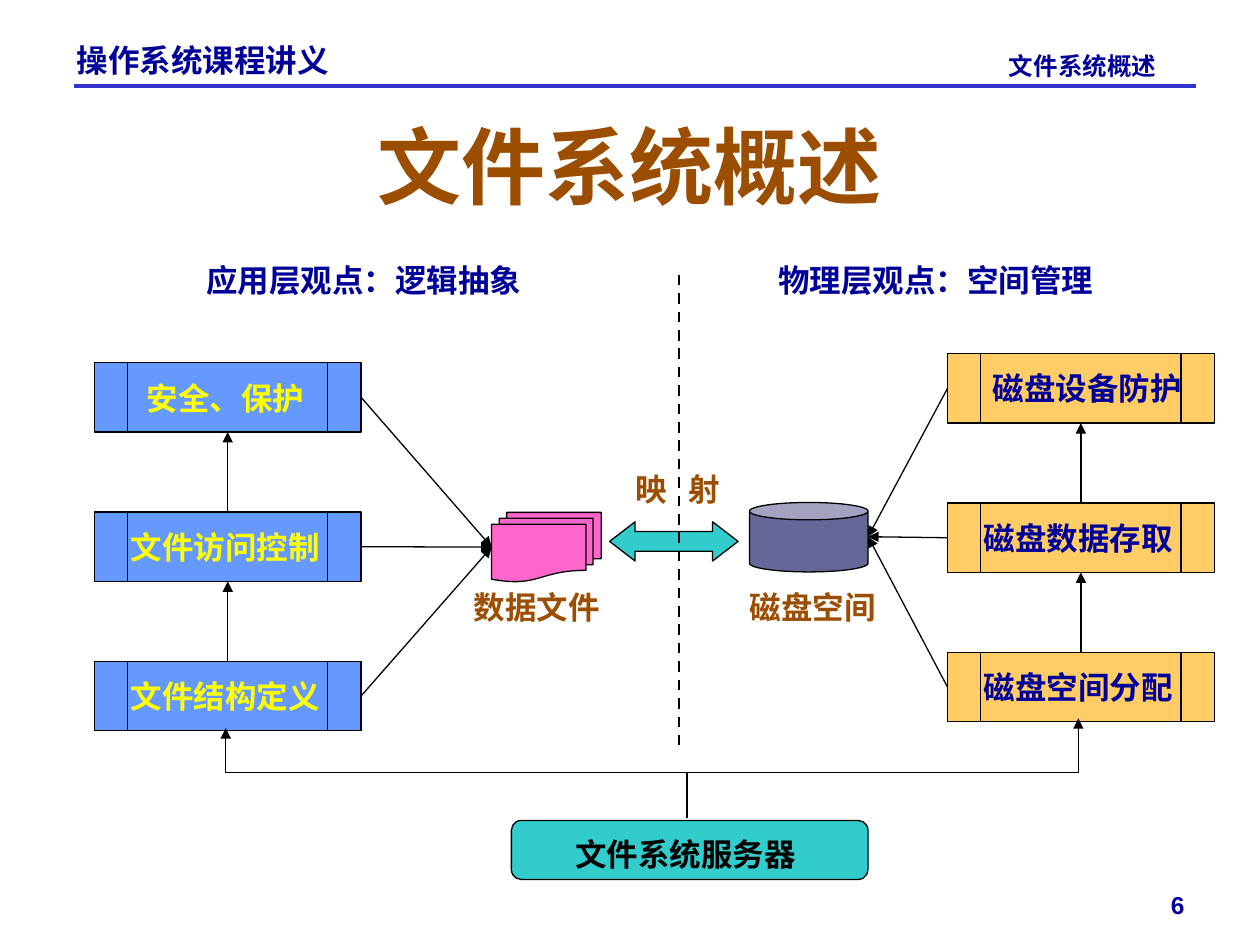
import pptx
import pptx.dml.color
import pptx.enum.dml
import pptx.enum.shapes
import pptx.enum.text
import pptx.oxml
import pptx.oxml.ns
import pptx.util
from lxml import etree

Cm = pptx.util.Cm
Pt = pptx.util.Pt
Shape = pptx.enum.shapes.MSO_SHAPE
Link = pptx.enum.shapes.MSO_CONNECTOR
Align = pptx.enum.text.PP_ALIGN
colour = pptx.dml.color.RGBColor.from_string
qn = pptx.oxml.ns.qn

NAVY, BROWN, YELLOW, BLACK = "000099", "9C4E00", "FFFF00", "000000"
BLUE, ORANGE, TEAL = "6699FF", "FFCC66", "33CCCC"

deck = pptx.Presentation()
deck.slide_width, deck.slide_height = Cm(25.4), Cm(19.05)
slide = deck.slides.add_slide(deck.slide_layouts[5])


def add_node(geometry, left, top, width, height, fill):
    node = slide.shapes.add_shape(geometry, Cm(left), Cm(top), Cm(width), Cm(height))
    node.shadow.inherit = False
    node.fill.solid()
    node.fill.fore_color.rgb = colour(fill)
    node.line.color.rgb = colour(BLACK)
    node.line.width = Pt(0.75)
    return node


def add_label(text, left, top, ink, size=18, font="Cabin"):
    """Add bold text in a box just wide enough for its full-width characters."""
    width = len(text) * size * 0.0353 + 0.8
    label = slide.shapes.add_textbox(Cm(left), Cm(top), Cm(width), Cm(1.02))
    label.text_frame.word_wrap = True
    label.text_frame.text = text
    run = label.text_frame.paragraphs[0].runs[0]
    run.font.name, run.font.size, run.font.bold = font, Pt(size), True
    run.font.color.rgb = colour(ink)
    return label


# Title
title = slide.shapes.title
title.left, title.top, title.width, title.height = Cm(0.89), Cm(2.13), Cm(23.6), Cm(2.39)
title.text_frame.text = "文件系统概述"
title.text_frame.auto_size = pptx.enum.text.MSO_AUTO_SIZE.NONE
title.text_frame.vertical_anchor = pptx.enum.text.MSO_ANCHOR.MIDDLE
heading = title.text_frame.paragraphs[0]
heading.alignment = Align.CENTER
heading_font = heading.runs[0].font
heading_font.name, heading_font.size, heading_font.bold = "Cabin", Pt(48), True
heading_font.color.rgb = colour(BROWN)

# Header and page number
add_label("操作系统课程讲义", 1.3, 0.71, NAVY, font="Arial")
add_label("文件系统概述", 20.09, 0.91, NAVY, size=14, font="Arial")
page_number = add_label("6", 22.7, 17.35, NAVY, size=14, font="Arial")
page_number.width, page_number.height = Cm(1.43), Cm(1.32)
page_number.text_frame.vertical_anchor = pptx.enum.text.MSO_ANCHOR.BOTTOM
page_number.text_frame.paragraphs[0].alignment = Align.RIGHT

# Two columns of layers, from top to bottom
NODE_W, NODE_H, PITCH = 5.38, 1.4, 3.01
APP_X, APP_Y = 1.9, 7.31
DISK_X, DISK_Y = 19.1, 7.13
columns = [
    (APP_X, APP_Y, BLUE, YELLOW, 0.2,
     [("安全、保护", 2.71), ("文件访问控制", 2.39), ("文件结构定义", 2.39)]),
    (DISK_X, DISK_Y, ORANGE, NAVY, 0.19,
     [("磁盘设备防护", 19.76), ("磁盘数据存取", 19.58), ("磁盘空间分配", 19.58)]),
]
for left, first_top, fill, ink, drop, layers in columns:
    for row, (text, text_left) in enumerate(layers):
        top = first_top + row * PITCH
        add_node(Shape.FLOWCHART_PREDEFINED_PROCESS, left, top, NODE_W, NODE_H, fill)
        add_label(text, text_left, top + drop, ink)

# Centre: files, mapping, disk and server
add_node(Shape.FLOWCHART_MULTIDOCUMENT, 9.91, 10.33, 2.21, 1.4, "FF66CC")
add_node(Shape.CAN, 15.11, 10.13, 2.39, 1.4, "666699")
mapping = add_node(Shape.LEFT_RIGHT_ARROW, 12.29, 10.52, 2.59, 0.79, TEAL)
mapping.adjustments[1] = 0.65
add_node(Shape.FLOWCHART_ALTERNATE_PROCESS, 10.31, 16.54, 7.19, 1.19, TEAL)
add_label("文件系统服务器", 11.35, 16.71, BLACK)
add_label("数据文件", 9.3, 11.73, BROWN)
add_label("磁盘空间", 14.86, 11.73, BROWN)
map_label = add_label("映 射", 12.57, 9.35, BROWN)
map_label.text_frame.paragraphs[0].runs[0].font._element.set("spc", "390")
add_label("应用层观点：逻辑抽象", 3.91, 5.13, NAVY)
add_label("物理层观点：空间管理", 15.44, 5.13, NAVY)

# Straight lines: start, end, colour, width, arrowhead
lines = [
    ((1.5, 1.73), (24.1, 1.73), "3333CC", 2.25, False),
    ((13.69, 5.54), (13.69, 15.11), BLACK, 1.5, False),
]
sides = [
    (APP_X, APP_Y, APP_X + NODE_W, (9.91, 11.03)),
    (DISK_X, DISK_Y, DISK_X, (17.5, 10.82)),
]
for left, first_top, exit_x, target in sides:
    middle_x = left + NODE_W / 2
    for row in range(3):
        top = first_top + row * PITCH
        lines.append(((exit_x, top + NODE_H / 2), target, BLACK, 0.75, True))
        if row:
            above = top - PITCH + NODE_H
            lines.append(((middle_x, top), (middle_x, above), BLACK, 0.75, True))

links = []
for (x0, y0), (x1, y1), ink, weight, arrow in lines:
    link = slide.shapes.add_connector(Link.STRAIGHT, Cm(x0), Cm(y0), Cm(x1), Cm(y1))
    links.append((link, ink, weight, arrow))
links[1][0].line.dash_style = pptx.enum.dml.MSO_LINE.DASH

# Elbows from the server, turned a quarter so that they leave upwards
SERVER_X, SERVER_Y, BUS_Y = 13.85, 16.48, 15.57
for end_x, end_y in [(4.55, 14.68), (21.74, 14.48)]:
    run, rise = end_x - SERVER_X, SERVER_Y - end_y
    centre_x, centre_y = (SERVER_X + end_x) / 2, (SERVER_Y + end_y) / 2
    elbow = slide.shapes.add_connector(
        Link.ELBOW,
        Cm(centre_x - rise / 2), Cm(centre_y - run / 2),
        Cm(centre_x + rise / 2), Cm(centre_y + run / 2))
    properties = elbow._element.spPr
    properties.find(qn("a:xfrm")).set("rot", "16200000")
    bend = etree.SubElement(properties.find(qn("a:prstGeom")).find(qn("a:avLst")), qn("a:gd"))
    bend.set("name", "adj1")
    bend.set("fmla", f"val {round((SERVER_Y - BUS_Y) / rise * 100000)}")
    links.append((elbow, BLACK, 0.75, True))

for link, ink, weight, arrow in links:
    link.line.color.rgb = colour(ink)
    link.line.width = Pt(weight)
    if arrow:
        etree.SubElement(link.line._get_or_add_ln(), qn("a:tailEnd")).set("type", "triangle")
    etree.SubElement(link._element.spPr, qn("a:effectLst"))

deck.save("out.pptx")
